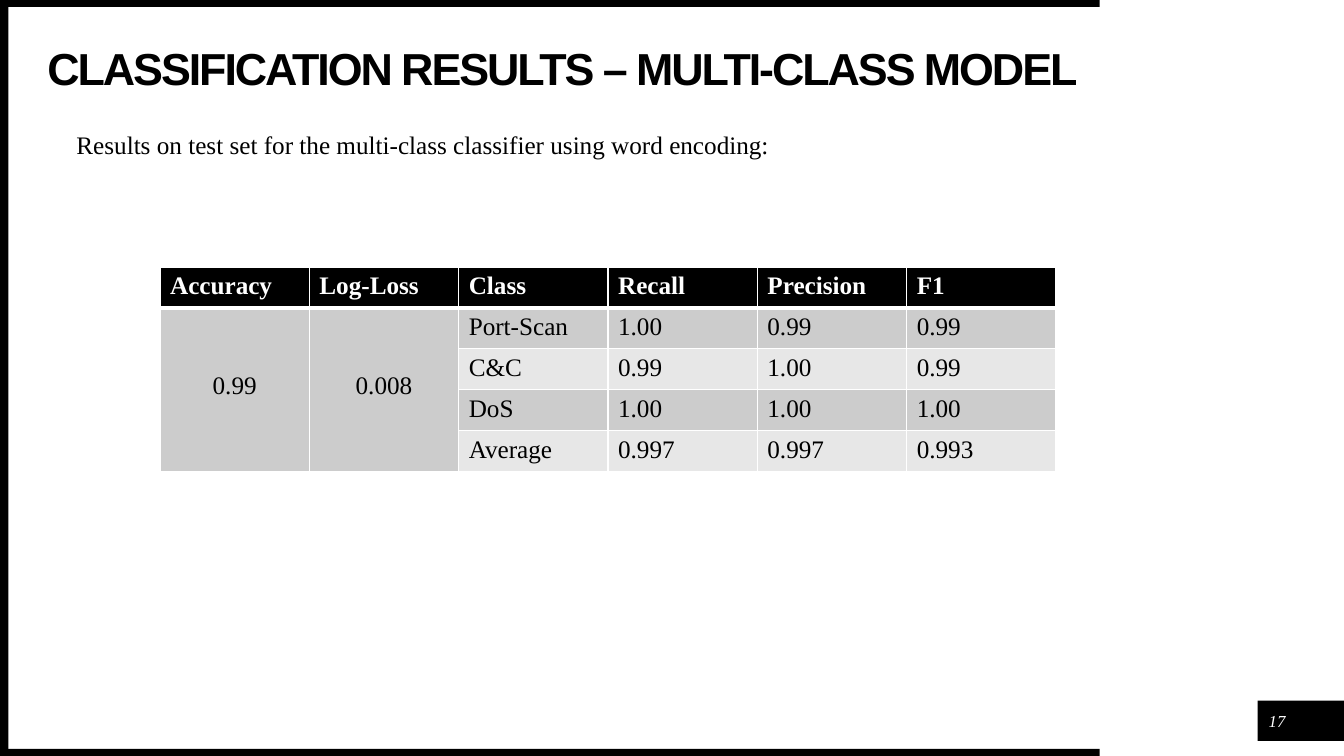
from dataclasses import dataclass

from lxml import etree
from pptx import Presentation
from pptx.dml.color import RGBColor
from pptx.enum.shapes import MSO_SHAPE
from pptx.enum.text import MSO_ANCHOR, MSO_AUTO_SIZE, PP_ALIGN
from pptx.oxml.ns import qn
from pptx.util import Pt

RECT = MSO_SHAPE.RECTANGLE
MIDDLE, TOP = MSO_ANCHOR.MIDDLE, MSO_ANCHOR.TOP
LEFT, CENTER = PP_ALIGN.LEFT, PP_ALIGN.CENTER
NO_FIT = MSO_AUTO_SIZE.NONE

BLACK = RGBColor(0x00, 0x00, 0x00)
WHITE = RGBColor(0xFF, 0xFF, 0xFF)
BAND_DARK = RGBColor(0xCC, 0xCC, 0xCC)
BAND_LIGHT = RGBColor(0xE7, 0xE7, 0xE7)
HEAD_FONT, BODY_FONT = "Arial", "Times New Roman"


@dataclass(frozen=True)
class Box:
    left: float
    top: float
    width: float
    height: float

    def lengths(self) -> tuple:
        return Pt(self.left), Pt(self.top), Pt(self.width), Pt(self.height)


FRAME = [
    Box(898.3, 500.4, 61.7, 28.8),  # slide number block
    Box(0, 535, 785.5, 5),
    Box(0, 0, 785.5, 5),
    Box(0, 0, 6, 540),
]
TITLE = Box(33.84, 33.84, 800.64, 33.84)
NUMBER = Box(901.44, 504, 21.6, 21.6)
INTRO = Box(47.5, 88.56, 752.4, 28.8)
TABLE = Box(114.3, 190.8, 640.08, 146)

HEADERS = ["Accuracy", "Log-Loss", "Class", "Recall", "Precision", "F1"]
OVERALL = ["0.99", "0.008"]
SCORES = [
    ["Port-Scan", "1.00", "0.99", "0.99"],
    ["C&C", "0.99", "1.00", "0.99"],
    ["DoS", "1.00", "1.00", "1.00"],
    ["Average", "0.997", "0.997", "0.993"],
]


def add_run(p, text: str, size: float, font: str = BODY_FONT,
            color: RGBColor = BLACK, bold: bool = False, italic: bool = False):
    r = p.add_run()
    r.text = text
    r.font.size, r.font.name = Pt(size), font
    r.font.bold, r.font.italic = bold, italic
    r.font.color.rgb = color
    return r


def clear_margins(tf) -> None:
    tf.margin_left = tf.margin_top = tf.margin_right = tf.margin_bottom = 0


def add_bar(s, box: Box) -> None:
    sp = s.shapes.add_shape(RECT, *box.lengths())
    sp.shadow.inherit = False
    sp.fill.solid()
    sp.fill.fore_color.rgb = BLACK
    sp.line.fill.background()


def add_text_box(s, box: Box):
    tf = s.shapes.add_textbox(*box.lengths()).text_frame
    tf.word_wrap = True
    return tf


def set_borders(cell, top: float, bottom: float) -> None:
    tcPr = cell._tc.get_or_add_tcPr()
    widths = {"a:lnL": 1, "a:lnR": 1, "a:lnT": top, "a:lnB": bottom}
    for i, (tag, width) in enumerate(widths.items()):
        ln = etree.Element(qn(tag), w=str(Pt(width)))
        fill = etree.SubElement(ln, qn("a:solidFill"))
        etree.SubElement(fill, qn("a:srgbClr"), val=str(WHITE))
        tcPr.insert(i, ln)


def format_cell(cell, row: int, fill: RGBColor) -> None:
    cell.fill.solid()
    cell.fill.fore_color.rgb = fill
    set_borders(cell, 3 if row == 1 else 1, 3 if row == 0 else 1)


def add_results_table(s) -> None:
    rows, cols = len(SCORES) + 1, len(HEADERS)
    table = s.shapes.add_table(rows, cols, *TABLE.lengths()).table
    for column in table.columns:
        column.width = Pt(TABLE.width / cols)
    for row in table.rows:
        row.height = Pt(TABLE.height / rows)

    # Header and class scores
    first = len(OVERALL)
    for i in range(rows):
        band = BAND_DARK if i % 2 else BAND_LIGHT
        for j in range(cols):
            cell = table.cell(i, j)
            fill = BLACK if i == 0 else BAND_DARK if j < first else band
            format_cell(cell, i, fill)
            p = cell.text_frame.paragraphs[0]
            if i == 0:
                add_run(p, HEADERS[j], 18, color=WHITE, bold=True)
            elif j >= first:
                add_run(p, SCORES[i - 1][j - first], 18)

    # Overall scores span all class rows
    for j, value in enumerate(OVERALL):
        cell = table.cell(1, j)
        cell.merge(table.cell(rows - 1, j))
        cell.vertical_anchor = MIDDLE
        cell.margin_top, cell.margin_bottom = Pt(0), Pt(6)
        p = cell.text_frame.paragraphs[0]
        p.alignment = CENTER
        add_run(p, value, 18)


def main() -> None:
    prs = Presentation()
    prs.slide_width, prs.slide_height = Pt(960), Pt(540)
    s = prs.slides.add_slide(prs.slide_layouts[5])

    # Frame
    for box in FRAME:
        add_bar(s, box)

    # Title
    title = s.shapes.title
    title.left, title.top, title.width, title.height = TITLE.lengths()
    tf = title.text_frame
    clear_margins(tf)
    tf.word_wrap, tf.auto_size, tf.vertical_anchor = True, NO_FIT, MIDDLE
    p = tf.paragraphs[0]
    p.alignment, p.line_spacing = LEFT, 0.9
    r = add_run(p, "CLASSIFICATION RESULTS – MULTI-CLASS MODEL", 32,
                HEAD_FONT, bold=True)
    r._r.get_or_add_rPr().set("spc", "-150")

    # Slide number
    tf = add_text_box(s, NUMBER)
    clear_margins(tf)
    tf.vertical_anchor = MIDDLE
    p = tf.paragraphs[0]
    p.alignment = CENTER
    add_run(p, "17", 12, color=WHITE, italic=True)

    # Introduction and results
    tf = add_text_box(s, INTRO)
    tf.vertical_anchor = TOP
    add_run(tf.paragraphs[0], "Results on test set for the multi-class "
            "classifier using word encoding:", 18)
    add_results_table(s)

    prs.save("out.pptx")


if __name__ == "__main__":
    main()
